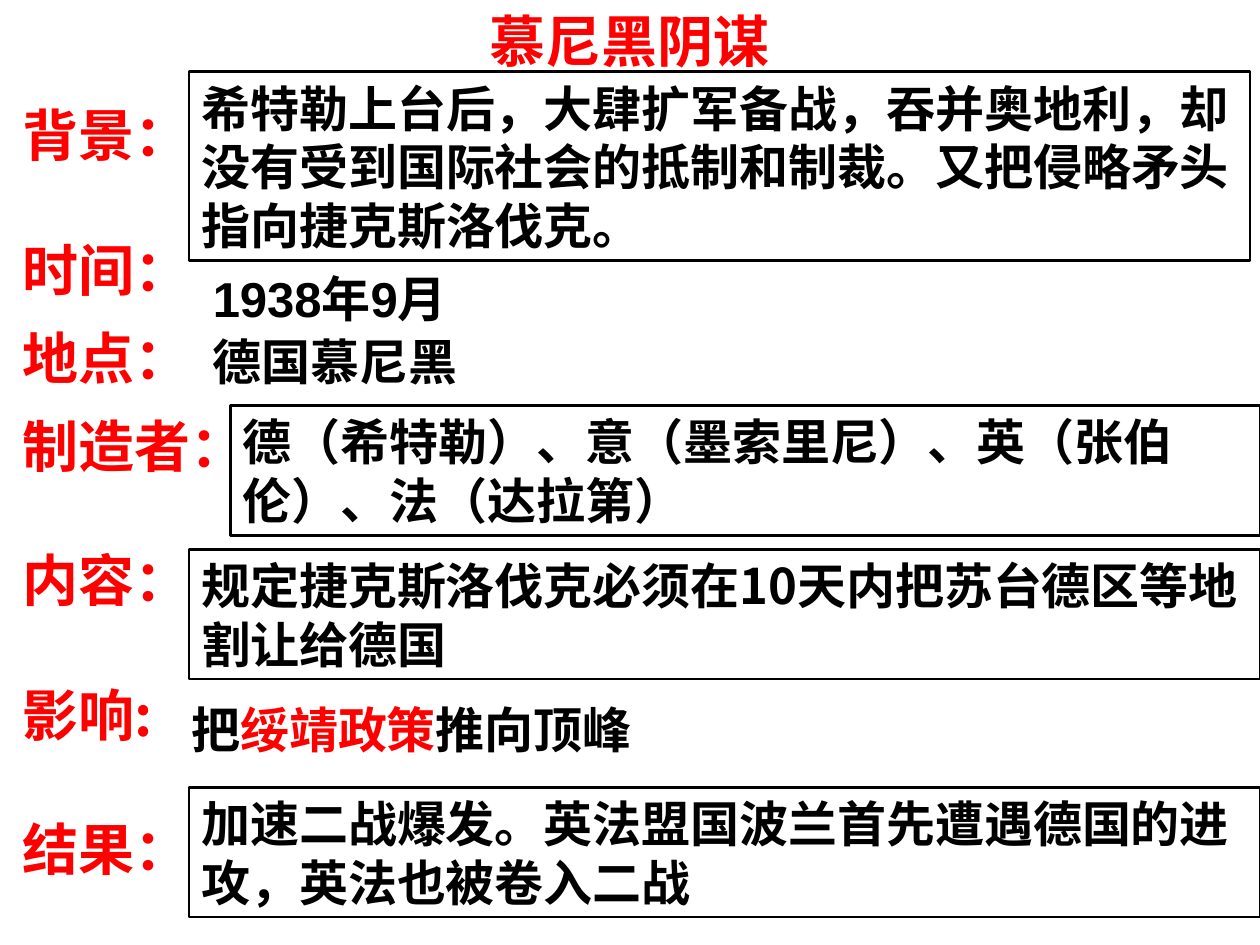
"""Build a one-slide summary of the Munich conspiracy."""
from pptx import Presentation
from pptx.dml.color import RGBColor
from pptx.enum import shapes, text
from pptx.util import Inches, Pt

COLORS = {"key": "FF0000", "body": "000000"}
CJK, LATIN = "Noto Sans CJK SC", "Arial"
HEADING_SIZE, BODY_SIZE = 32, 28
LINE_HEIGHT = 1.2
BLANK_LINE = HEADING_SIZE * LINE_HEIGHT

TITLE = "慕尼黑阴谋"
LABELS = [
    ("背景：", 0),
    ("时间：", BLANK_LINE),
    ("地点：", 12),
    ("制造者：", 12),
    ("内容：", BLANK_LINE),
    ("影响:", BLANK_LINE),
    ("结果：", BLANK_LINE),
]
PLAIN_ANSWERS = [
    ((1.59, 2.08, 3.75, 0.57), [("1938年9月", "body")]),
    ((1.59, 2.58, 4.17, 0.57), [("德国慕尼黑", "body")]),
    ((1.42, 5.5, 8.33, 0.57),
     [("把", "body"), ("绥靖政策", "key"), ("推向顶峰", "body")]),
]
FRAMED_ANSWERS = [
    ((1.83, 3.22, 8.17, 1.03), LATIN,
     "德（希特勒）、意（墨索里尼）、英（张伯伦）、法（达拉第）"),
    ((1.5, 4.36, 8.5, 1.03), CJK,
     "规定捷克斯洛伐克必须在10天内把苏台德区等地割让给德国"),
    ((1.5, 6.25, 8.5, 1.03), LATIN,
     "加速二战爆发。英法盟国波兰首先遭遇德国的进攻，英法也被卷入二战"),
    ((1.5, 0.57, 8.42, 1.5), CJK,
     "希特勒上台后，大肆扩军备战，吞并奥地利，却没有受到国际社会的抵制和制裁。"
     "又把侵略矛头指向捷克斯洛伐克。"),
]


def color(name):
    return RGBColor.from_string(COLORS[name])


def write(paragraph, runs, size, font_name, align=text.PP_ALIGN.LEFT, before=0):
    paragraph.alignment = align
    paragraph.space_before = Pt(before)
    paragraph.line_spacing = Pt(size * LINE_HEIGHT)
    paragraph.font.size = Pt(size)
    paragraph.font.name = font_name
    paragraph.font.bold = True
    for words, color_name in runs:
        run = paragraph.add_run()
        run.text = words
        run.font.color.rgb = color(color_name)


def add_text_frame(slide, box):
    frame = slide.shapes.add_textbox(*map(Inches, box)).text_frame
    frame.word_wrap = True
    return frame


def add_framed_answer(slide, box, font_name, words):
    answer = slide.shapes.add_shape(shapes.MSO_SHAPE.RECTANGLE, *map(Inches, box))
    answer.shadow.inherit = False
    answer.fill.background()
    answer.line.color.rgb = color("body")
    answer.line.width = Pt(1.5)
    frame = answer.text_frame
    frame.word_wrap = True
    frame.vertical_anchor = text.MSO_ANCHOR.MIDDLE
    write(frame.paragraphs[0], [(words, "body")], BODY_SIZE, font_name)


def main():
    deck = Presentation()
    deck.slide_width, deck.slide_height = Inches(10), Inches(7.5)
    slide = deck.slides.add_slide(deck.slide_layouts[6])

    title = add_text_frame(slide, (0, 0, 10, 0.63))
    write(title.paragraphs[0], [(TITLE, "key")], HEADING_SIZE, CJK, text.PP_ALIGN.CENTER)

    labels = add_text_frame(slide, (0.08, 0.75, 2.08, 6.3))
    for index, (label, before) in enumerate(LABELS):
        paragraph = labels.add_paragraph() if index else labels.paragraphs[0]
        write(paragraph, [(label, "key")], HEADING_SIZE, CJK, before=before)

    for box, runs in PLAIN_ANSWERS:
        write(add_text_frame(slide, box).paragraphs[0], runs, BODY_SIZE, LATIN)
    for box, font_name, words in FRAMED_ANSWERS:
        add_framed_answer(slide, box, font_name, words)

    deck.save("out.pptx")


if __name__ == "__main__":
    main()
